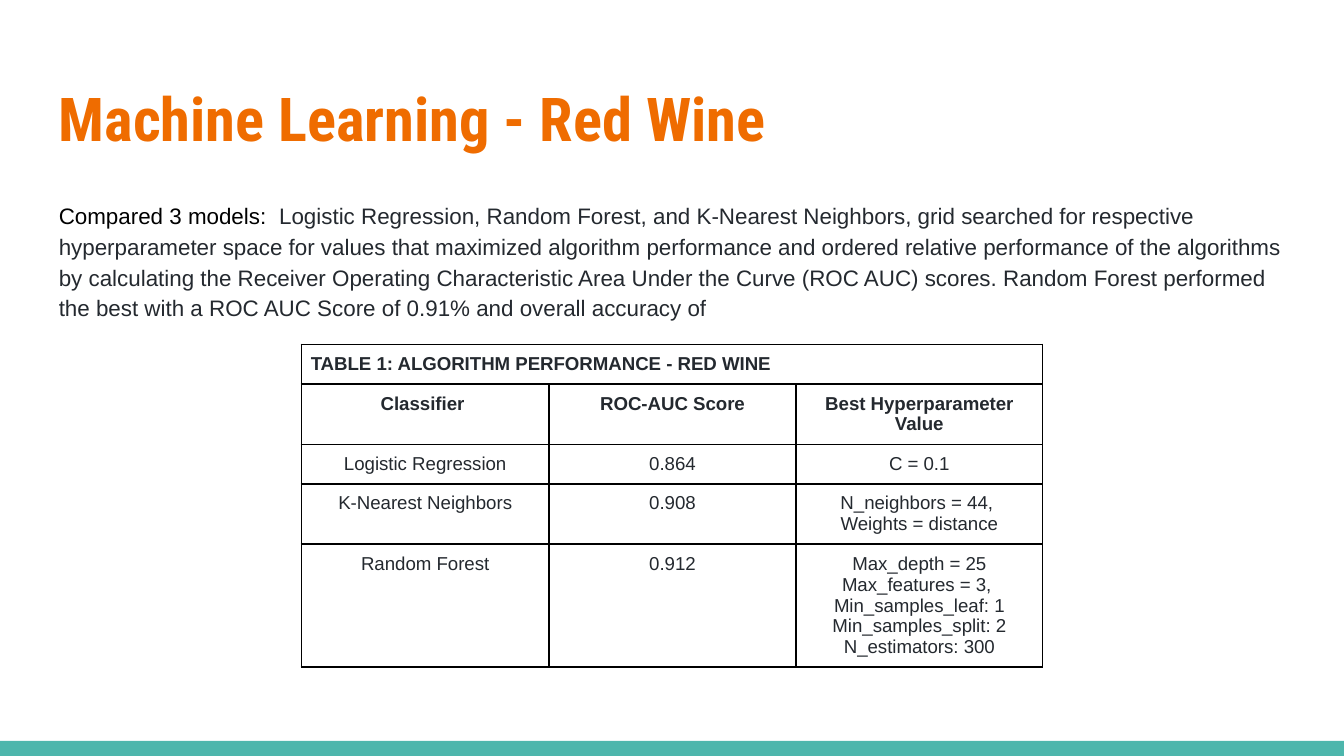
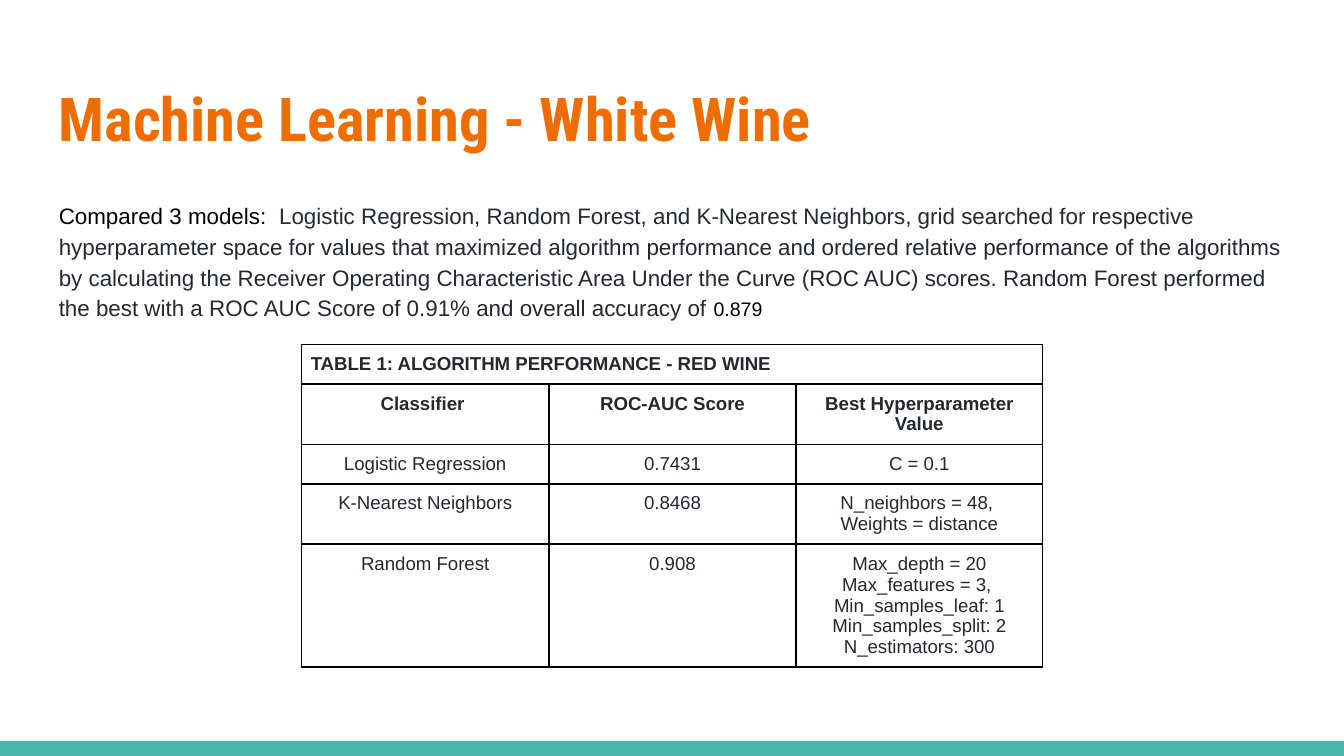
from dataclasses import dataclass

from lxml import etree
from pptx import Presentation
from pptx.dml.color import RGBColor
from pptx.enum.shapes import MSO_SHAPE
from pptx.enum.text import MSO_ANCHOR, MSO_AUTO_SIZE, PP_ALIGN
from pptx.oxml.ns import qn
from pptx.util import Pt

RECTANGLE = MSO_SHAPE.RECTANGLE
TOP, MIDDLE = MSO_ANCHOR.TOP, MSO_ANCHOR.MIDDLE
NO_AUTOFIT = MSO_AUTO_SIZE.NONE
LEFT, CENTER = PP_ALIGN.LEFT, PP_ALIGN.CENTER

PX = 6350  # EMU per px, 144 px to the inch


@dataclass(frozen=True)
class Theme:
    orange: str = "EF6C00"
    teal: str = "4DB6AC"
    black: str = "000000"
    ink: str = "24292F"
    white: str = "FFFFFF"
    title_font: str = "Roboto Condensed"
    body_font: str = "Arial"
    title_size: float = 32.4
    body_size: float = 12
    accuracy_size: float = 10.5
    table_size: float = 10
    border_width: float = 1


@dataclass(frozen=True)
class Box:
    left: int
    top: int
    width: int
    height: int

    def emu(self) -> tuple:
        return tuple(side * PX for side in (self.left, self.top, self.width, self.height))


@dataclass(frozen=True)
class Study:
    """Everything that differs between the wine slides."""
    wine: str
    accuracy: str
    scores: tuple
    neighbors: int
    depth: int


THEME = Theme()
PAGE = Box(0, 0, 1440, 810)
BAND = Box(0, 794, 1440, 16)
TITLE = Box(49, 70, 1342, 111)
BODY = Box(49, 198, 1342, 520)
TEXT_INSET, CELL_INSET = 14, 10
COLUMNS = (265, 265, 264)
ROWS = (36, 36, 36, 46, 96)
TABLE = Box(323, 369, sum(COLUMNS), sum(ROWS))
BAND_ID = 20

LEAD = "Compared 3 models: "
SUMMARY = (
    " Logistic Regression, Random Forest, and K-Nearest Neighbors, grid searched for "
    "respective hyperparameter space for values that maximized algorithm performance and "
    "ordered relative performance of the algorithms by calculating the Receiver Operating "
    "Characteristic Area Under the Curve (ROC AUC) scores. Random Forest performed the best "
    "with a ROC AUC Score of 0.91% and overall accuracy of"
)
CAPTION = "TABLE 1: ALGORITHM PERFORMANCE - RED WINE"
HEADER = ("Classifier ", "ROC-AUC Score", "Best Hyperparameter Value")

STUDIES = (
    Study("Red Wine", "", ("0.864", "0.908", "0.912"), 44, 25),
    Study("White Wine", "0.879", ("0.7431", "0.8468", "0.908"), 48, 20),
)


def style(span, font: str, size: float, color: str, bold: bool = False) -> None:
    span.font.name = font
    span.font.size = Pt(size)
    span.font.bold = bold
    span.font.color.rgb = RGBColor.from_string(color)


def set_margins(target, inset: int) -> None:
    target.margin_left = target.margin_right = inset * PX
    target.margin_top = target.margin_bottom = inset * PX


def place(holder, box: Box, anchor):
    """Move a placeholder and return its first paragraph, left aligned."""
    holder.left, holder.top, holder.width, holder.height = box.emu()
    frame = holder.text_frame
    frame.word_wrap = True
    frame.auto_size = NO_AUTOFIT
    frame.vertical_anchor = anchor
    set_margins(frame, TEXT_INSET)
    para = frame.paragraphs[0]
    para.alignment = LEFT
    para.space_before = Pt(0)
    return para


def add_band(page, layout) -> None:
    """Draw the bottom band and hand it to the layout, so every slide shows it."""
    band = page.shapes.add_shape(RECTANGLE, *BAND.emu())
    band.shadow.inherit = False
    band.fill.solid()
    band.fill.fore_color.rgb = RGBColor.from_string(THEME.teal)
    band.line.fill.background()
    band.element.nvSpPr.cNvPr.id = BAND_ID
    layout.shapes.element.append(band.element)


def add_title(page, study: Study) -> None:
    para = place(page.shapes.title, TITLE, MIDDLE)
    para.text = f"Machine Learning - {study.wine}"
    style(para.runs[0], THEME.title_font, THEME.title_size, THEME.orange, bold=True)


def add_summary(page, study: Study) -> None:
    para = place(page.placeholders[1], BODY, TOP)
    para.line_spacing = 1.15
    # No bullet and no hanging indent
    settings = para._p.get_or_add_pPr()
    settings.set("marL", "0")
    settings.set("indent", "0")
    etree.SubElement(settings, qn("a:buNone"))
    summary = f"{SUMMARY} " if study.accuracy else SUMMARY
    spans = (
        (LEAD, THEME.body_size, THEME.black),
        (summary, THEME.body_size, THEME.ink),
        (study.accuracy, THEME.accuracy_size, THEME.black),
    )
    for text, size, color in spans:
        if text:
            span = para.add_run()
            span.text = text
            style(span, THEME.body_font, size, color)


def add_borders(cell) -> None:
    settings = cell._tc.get_or_add_tcPr()
    for position, side in enumerate(("lnL", "lnR", "lnT", "lnB")):
        line = etree.Element(qn(f"a:{side}"), w=str(Pt(THEME.border_width)))
        fill = etree.SubElement(line, qn("a:solidFill"))
        etree.SubElement(fill, qn("a:srgbClr"), val=THEME.black)
        settings.insert(position, line)


def table_rows(study: Study) -> tuple:
    logistic, nearest, forest = study.scores
    forest_values = (
        f"Max_depth = {study.depth}\nMax_features = 3, \nMin_samples_leaf: 1\n"
        "Min_samples_split: 2\nN_estimators: 300"
    )
    return (
        (CAPTION, "", ""),
        HEADER,
        ("Logistic Regression", logistic, "C = 0.1"),
        ("K-Nearest Neighbors", nearest,
         f"N_neighbors = {study.neighbors}, \nWeights = distance"),
        ("Random Forest", forest, forest_values),
    )


def add_scores(page, study: Study) -> None:
    table = page.shapes.add_table(len(ROWS), len(COLUMNS), *TABLE.emu()).table
    table.first_row = table.horz_banding = False
    for column, width in zip(table.columns, COLUMNS):
        column.width = width * PX
    for row, height in zip(table.rows, ROWS):
        row.height = height * PX
    table.cell(0, 0).merge(table.cell(0, len(COLUMNS) - 1))

    for row_index, texts in enumerate(table_rows(study)):
        for column_index, text in enumerate(texts):
            cell = table.cell(row_index, column_index)
            cell.fill.background()
            set_margins(cell, CELL_INSET)
            add_borders(cell)
            if not text:
                continue
            cell.text_frame.text = text
            for para in cell.text_frame.paragraphs:
                para.alignment = CENTER if row_index else LEFT
                style(para.runs[0], THEME.body_font, THEME.table_size, THEME.ink,
                      bold=row_index < 2)


def main() -> None:
    deck = Presentation()
    deck.slide_width, deck.slide_height = PAGE.width * PX, PAGE.height * PX
    background = deck.slide_master.background.fill
    background.solid()
    background.fore_color.rgb = RGBColor.from_string(THEME.white)
    layout = deck.slide_layouts.get_by_name("Title and Content")
    for study in STUDIES:
        page = deck.slides.add_slide(layout)
        if study is STUDIES[0]:
            add_band(page, layout)
        add_title(page, study)
        add_summary(page, study)
        add_scores(page, study)
    deck.save("out.pptx")


if __name__ == "__main__":
    main()
